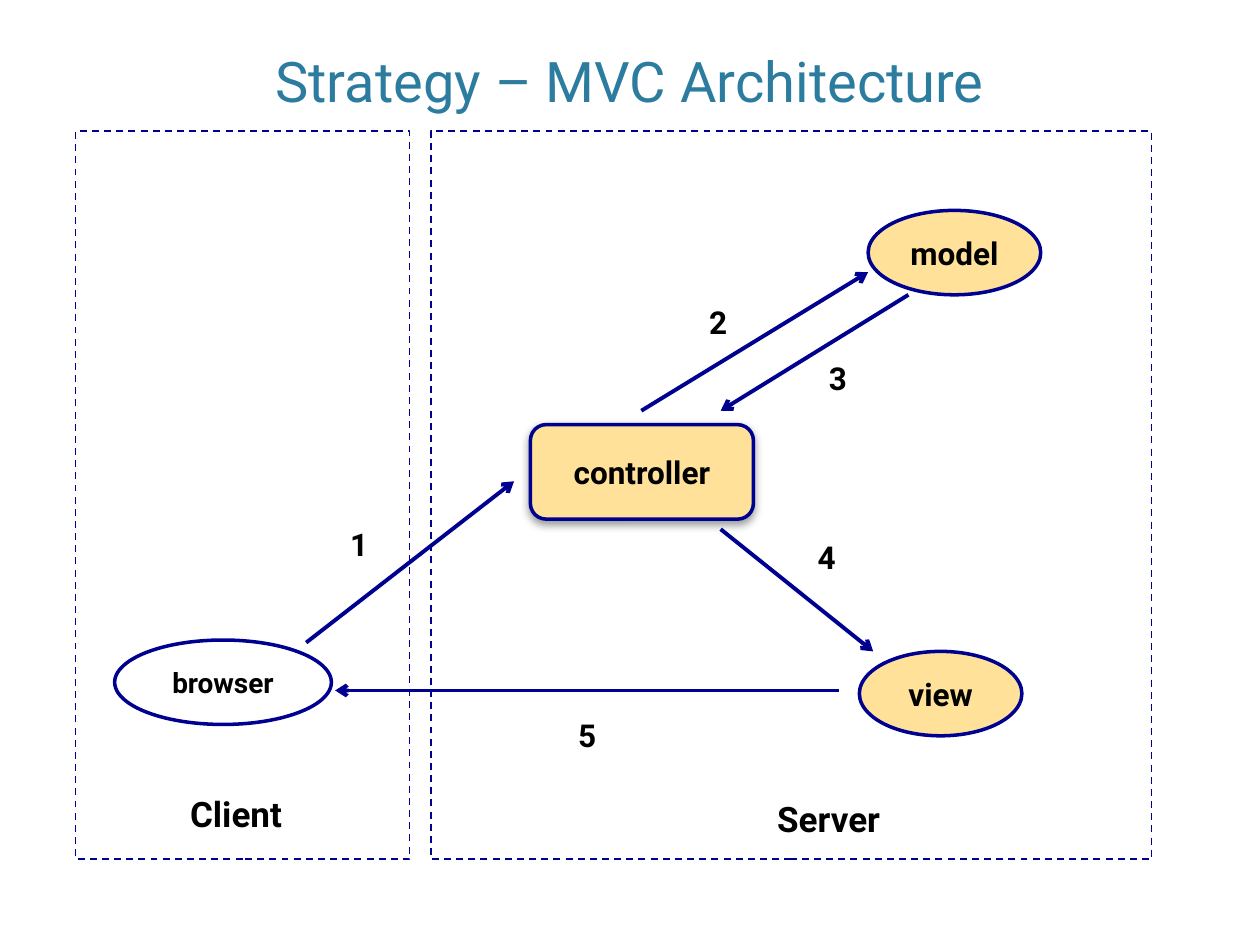
from lxml import etree
from pptx import Presentation
from pptx import util as u
from pptx.dml.color import RGBColor
from pptx.enum import dml, shapes, text
from pptx.oxml import ns

NAVY = RGBColor(0x00, 0x00, 0x90)
TEAL = RGBColor(0x2C, 0x7C, 0x9F)
SAND = RGBColor(0xFF, 0xE1, 0x99)
BLACK = RGBColor(0x00, 0x00, 0x00)


class Diagram:
    """Style and current slide; lengths are columns and rows of a 100 x 75 grid."""

    font = "Roboto"
    columns, rows = 100, 75

    def __init__(self, presentation):
        self.slide = presentation.slides.add_slide(presentation.slide_layouts[6])
        self.column = presentation.slide_width / self.columns
        self.row = presentation.slide_height / self.rows

    def place(self, *lengths):
        """Turn alternating columns and rows into slide lengths."""
        units = (self.column, self.row) * 2
        return [u.Emu(round(length * unit)) for length, unit in zip(lengths, units)]

    def set_words(self, shape, words, size, color=BLACK, bold=True,
                  align=text.PP_ALIGN.CENTER, anchor=text.MSO_ANCHOR.MIDDLE, wrap=False):
        frame = shape.text_frame
        frame.text = words
        frame.word_wrap = wrap
        frame.vertical_anchor = anchor
        paragraph = frame.paragraphs[0]
        paragraph.alignment = align
        font = paragraph.runs[0].font
        font.name, font.size, font.bold = self.font, u.Pt(size), bold
        font.color.rgb = color

    def title(self, box, words):
        shape = self.slide.shapes.add_textbox(*self.place(*box))
        self.set_words(shape, words, 32, TEAL, bold=False,
                       anchor=text.MSO_ANCHOR.BOTTOM, wrap=True)

    def label(self, box, words, size=18):
        shape = self.slide.shapes.add_textbox(*self.place(*box))
        self.set_words(shape, words, size, align=text.PP_ALIGN.LEFT,
                       anchor=text.MSO_ANCHOR.TOP)

    def outline(self, kind, box, width, fill=None):
        shape = self.slide.shapes.add_shape(kind, *self.place(*box))
        shape.shadow.inherit = False
        if fill is None:
            shape.fill.background()
        else:
            shape.fill.solid()
            shape.fill.fore_color.rgb = fill
        shape.line.color.rgb = NAVY
        shape.line.width = u.Pt(width)
        return shape

    def zone(self, box):
        shape = self.outline(shapes.MSO_SHAPE.RECTANGLE, box, 1)
        shape.line.dash_style = dml.MSO_LINE.DASH

    def node(self, box, words, size=18, fill=SAND, kind=shapes.MSO_SHAPE.OVAL):
        shape = self.outline(kind, box, 2, fill)
        self.set_words(shape, words, size)
        return shape

    def drop_shadow(self, shape):
        effects = shape._element.spPr.find(ns.qn("a:effectLst"))
        shadow = etree.SubElement(
            effects, ns.qn("a:outerShdw"), blurRad=str(u.Pt(5)),
            dist=str(u.Pt(2)), dir="5400000", rotWithShape="0")
        color = etree.SubElement(shadow, ns.qn("a:srgbClr"), val=str(BLACK))
        etree.SubElement(color, ns.qn("a:alpha"), val="40000")

    def arrow(self, start, end):
        connector = self.slide.shapes.add_connector(
            shapes.MSO_CONNECTOR.STRAIGHT, *self.place(*start, *end))
        connector.line.color.rgb = NAVY
        connector.line.width = u.Pt(2.25)
        properties = connector._element.spPr
        etree.SubElement(properties.find(ns.qn("a:ln")), ns.qn("a:tailEnd"), type="arrow")
        etree.SubElement(properties, ns.qn("a:effectLst"))


def main():
    presentation = Presentation()
    presentation.slide_width, presentation.slide_height = u.Inches(10), u.Inches(7.5)
    diagram = Diagram(presentation)

    diagram.title((6, -5.1, 88, 14.6), "Strategy – MVC Architecture")

    # Client and server zones
    for left, width in ((6, 26.5), (34.2, 57.2)):
        diagram.zone((left, 10.4, width, 57.8))
    diagram.label((14.1, 62.4, 10.1, 4.4), "Client", 20)
    diagram.label((60.7, 62.8, 10.8, 4.4), "Server", 20)

    # Components
    diagram.node((9.1, 50.8, 17.2, 6.7), "browser", size=16, fill=None)
    diagram.node((68.2, 51.7, 12.9, 6.7), "view")
    diagram.node((68.9, 16.7, 13.7, 6.7), "model")
    controller = diagram.node((42.1, 33.7, 17.7, 7.5), "controller",
                              kind=shapes.MSO_SHAPE.ROUNDED_RECTANGLE)
    diagram.drop_shadow(controller)

    # Numbered steps: start, end, corner of the number
    steps = (
        ((24.3, 51), (40.8, 38.2), (26.8, 41.2)),
        ((50.9, 32.6), (68.9, 21.6), (55.3, 23.6)),
        ((72.1, 23.4), (57.2, 32.6), (64.8, 28)),
        ((57.2, 42), (69.3, 51.7), (63.9, 42.2)),
        ((66.6, 54.8), (26.6, 54.8), (44.9, 56.3)),
    )
    for number, (start, end, corner) in enumerate(steps, 1):
        diagram.arrow(start, end)
        diagram.label((*corner, 3.6, 4), str(number))

    presentation.save("out.pptx")


if __name__ == "__main__":
    main()
